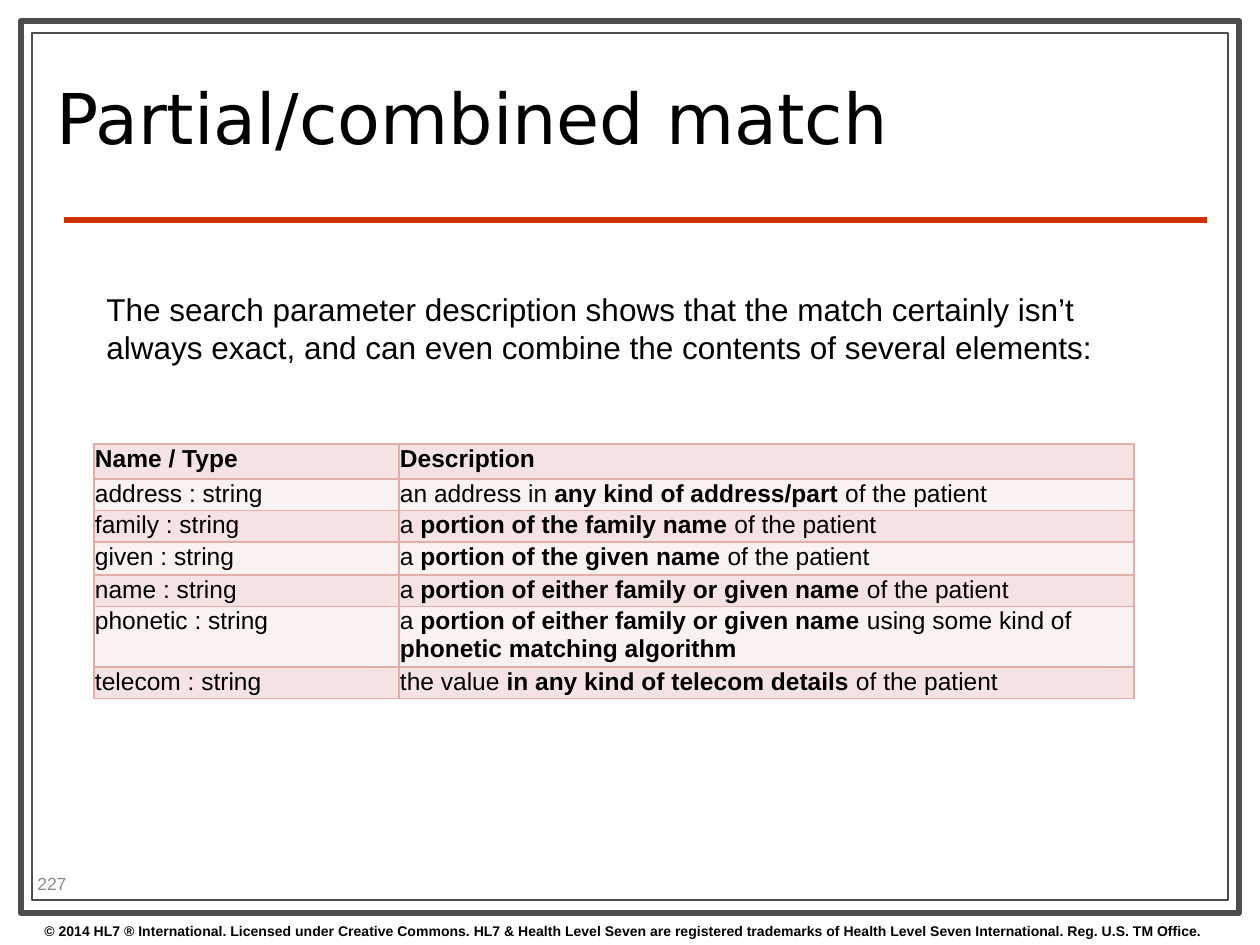
import pptx
import pptx.util
import pptx.dml.color
import pptx.enum.shapes
import pptx.enum.text
import pptx.oxml
import pptx.oxml.ns
from dataclasses import dataclass

# Content
TITLE = "Partial/combined match"
INTRO = ("The search parameter description shows that the match certainly isn’t "
         "always exact, and can even combine the contents of several elements:")
PAGE_NUMBER = "227"
COPYRIGHT = ("© 2014 HL7 ® International. Licensed under Creative Commons. "
             "HL7 & Health Level Seven are registered trademarks of Health Level "
             "Seven International. Reg. U.S. TM Office.")
# Each row: height in px, name, description; ** switches bold on and off
PARAMETERS = [
    (35, "**Name / Type**", "**Description**"),
    (31, "address : string", "an address in **any kind of address/part** of the patient"),
    (30, "family : string", "a **portion of the family name** of the patient"),
    (33, "given : string", "a **portion of the given name** of the patient"),
    (31, "name : string", "a **portion of either family or given name** of the patient"),
    (58, "phonetic : string", "a **portion of either family or given name** using some kind of "
                              "**phonetic matching algorithm**"),
    (30, "telecom : string", "the value **in any kind of telecom details** of the patient"),
]
COLUMN_WIDTHS = (305, 735)


@dataclass(frozen=True)
class Theme:
    paper: str = "FFFFFF"
    ink: str = "000000"
    frame: str = "4D4D4D"
    rule: str = "CC3300"
    muted: str = "8C8C8C"
    grid: str = "E2ADAA"
    bands: tuple = ("F4E3E2", "FAF1F1")
    title_font: str = "DejaVu Sans"
    body_font: str = "Arial"
    title_size: int = 40
    intro_size: int = 18
    table_size: int = 14
    number_size: int = 10
    copyright_size: int = 8


THEME = Theme()
SLIDE_SIZE = (1260, 945)


def px(length):
    return pptx.util.Emu(round(length * 914400 / 126))


def rgb(code):
    return pptx.dml.color.RGBColor.from_string(code)


def write(frame, text, *, size, font=THEME.body_font, color=THEME.ink, bold=False,
          middle=False, spacing=None):
    """Fill a text frame; parts between ** marks are bold."""
    frame.word_wrap = True
    if middle:
        frame.vertical_anchor = pptx.enum.text.MSO_ANCHOR.MIDDLE
    paragraph = frame.paragraphs[0]
    if spacing:
        paragraph.line_spacing = spacing
    for index, part in enumerate(text.split("**")):
        if part:
            run = paragraph.add_run()
            run.text = part
            run.font.size = pptx.util.Pt(size)
            run.font.name = font
            run.font.bold = bold or index % 2 == 1
            run.font.color.rgb = rgb(color)


def add_text(slide, box, text, **style):
    write(slide.shapes.add_textbox(*map(px, box)).text_frame, text, **style)


def add_frame(slide, box, weight):
    border = slide.shapes.add_shape(pptx.enum.shapes.MSO_SHAPE.RECTANGLE, *map(px, box))
    border.shadow.inherit = False
    border.fill.solid()
    border.fill.fore_color.rgb = rgb(THEME.paper)
    border.line.color.rgb = rgb(THEME.frame)
    border.line.width = pptx.util.Pt(weight)


def add_rule(slide, left, right, y):
    rule = slide.shapes.add_connector(pptx.enum.shapes.MSO_CONNECTOR.STRAIGHT,
                                      px(left), px(y), px(right), px(y))
    rule.line.color.rgb = rgb(THEME.rule)
    rule.line.width = pptx.util.Pt(3)
    rule._element.spPr.append(pptx.oxml.parse_xml(
        f'<a:effectLst {pptx.oxml.ns.nsdecls("a")}/>'))


def format_cell(cell, fill):
    cell.margin_left = cell.margin_right = cell.margin_top = cell.margin_bottom = px(1)
    properties = cell._tc.get_or_add_tcPr()
    for side in ("lnL", "lnR", "lnT", "lnB"):
        properties.append(pptx.oxml.parse_xml(
            f'<a:{side} {pptx.oxml.ns.nsdecls("a")} w="{pptx.util.Pt(1)}"><a:solidFill>'
            f'<a:srgbClr val="{THEME.grid}"/></a:solidFill></a:{side}>'))
    cell.fill.solid()
    cell.fill.fore_color.rgb = rgb(fill)


def add_parameters(slide, left, top):
    heights = [row[0] for row in PARAMETERS]
    table = slide.shapes.add_table(
        len(heights), len(COLUMN_WIDTHS), px(left), px(top),
        px(sum(COLUMN_WIDTHS)), px(sum(heights))).table
    for column, width in zip(table.columns, COLUMN_WIDTHS):
        column.width = px(width)
    for r, (height, *texts) in enumerate(PARAMETERS):
        table.rows[r].height = px(height)
        for c, text in enumerate(texts):
            format_cell(table.cell(r, c), THEME.bands[r % 2])
            write(table.cell(r, c).text_frame, text, size=THEME.table_size)


def main():
    deck = pptx.Presentation()
    deck.slide_width, deck.slide_height = map(px, SLIDE_SIZE)
    slide = deck.slides.add_slide(deck.slide_layouts[6])

    # Double frame, rule and copyright line
    add_frame(slide, (21, 21, 1218, 892), 3.5)
    add_frame(slide, (32, 33, 1196, 867), 0.75)
    add_rule(slide, 64, 1207, 220)
    add_text(slide, (32, 916, 1220, 29), COPYRIGHT, size=THEME.copyright_size, bold=True)

    # Title and page number
    add_text(slide, (44, 45, 904, 159), TITLE, size=THEME.title_size,
             font=THEME.title_font, middle=True, spacing=0.8)
    add_text(slide, (25, 868, 100, 30), PAGE_NUMBER, size=THEME.number_size,
             color=THEME.muted, middle=True)

    # Search parameters
    add_parameters(slide, 94, 444)
    add_text(slide, (94, 284, 1092, 89), INTRO, size=THEME.intro_size)

    deck.save("out.pptx")


if __name__ == "__main__":
    main()
